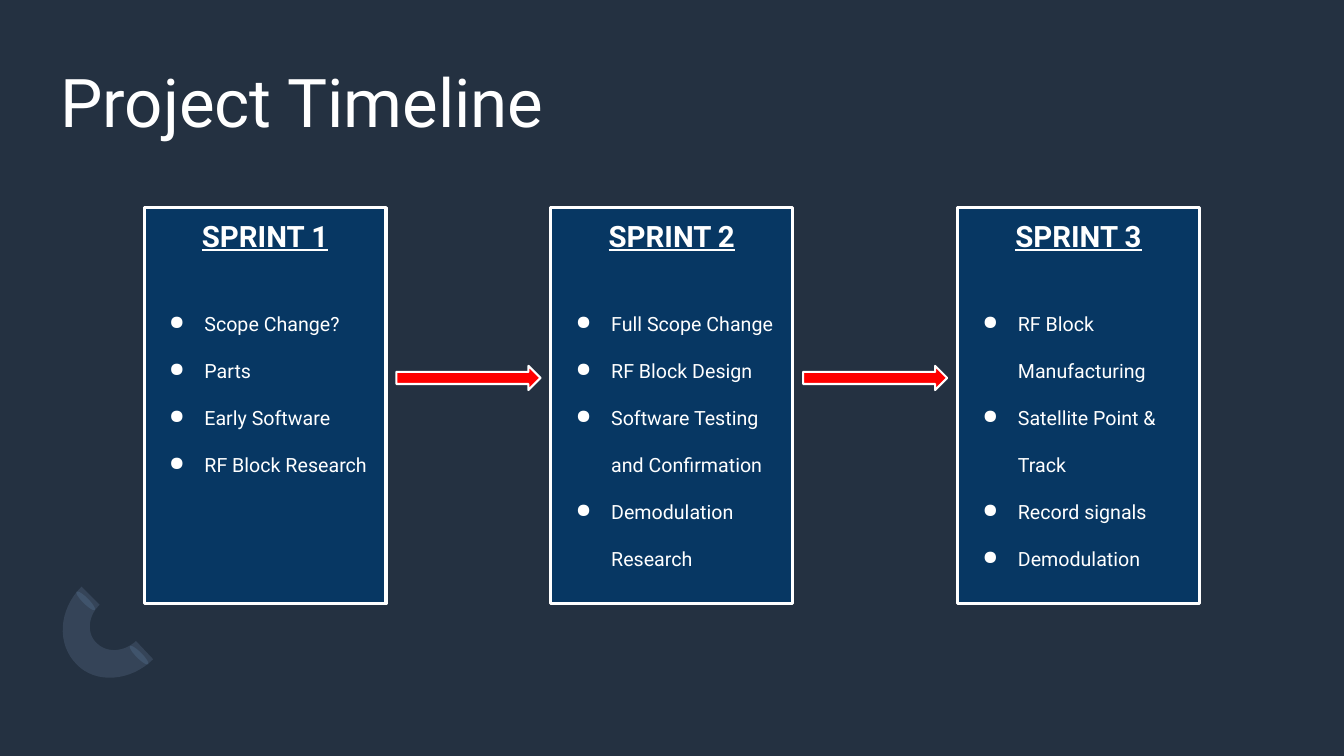
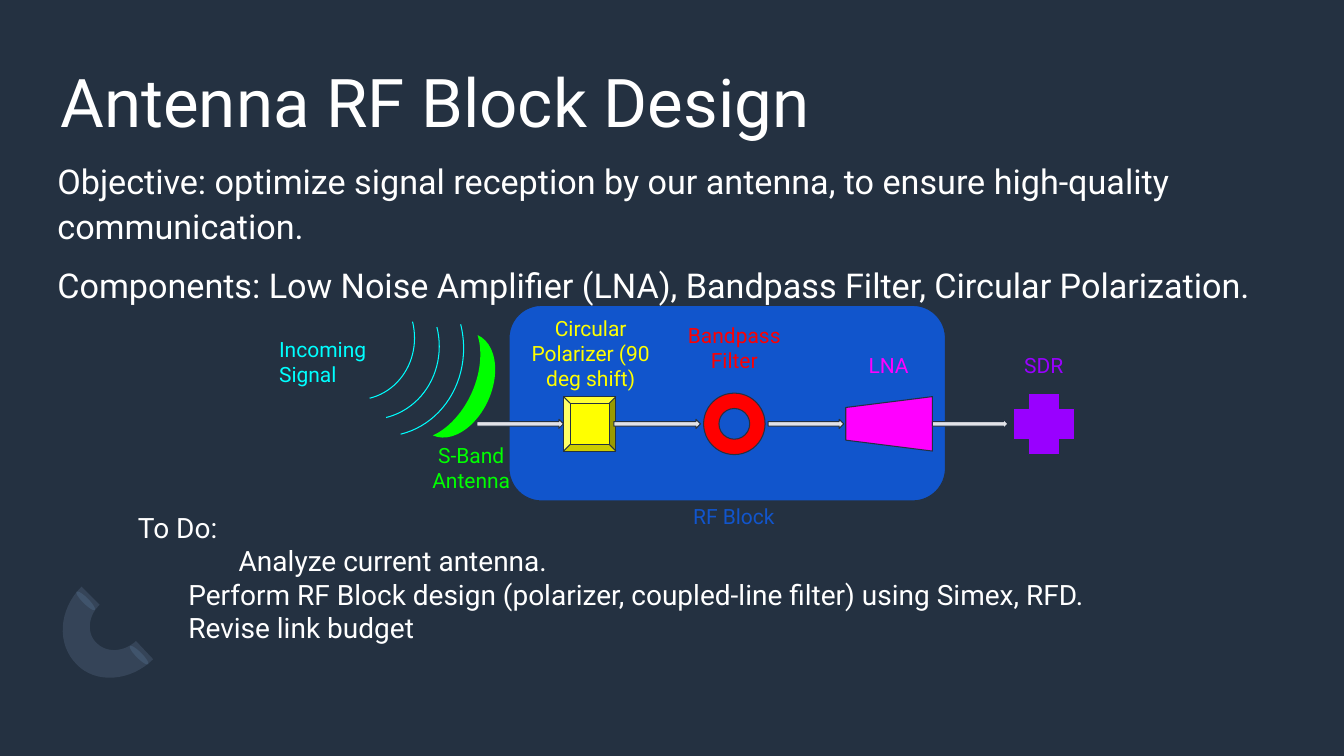
"""Build the project timeline and antenna RF block slides."""
from dataclasses import dataclass
from typing import Optional

from lxml import etree
from pptx import Presentation
from pptx import util as u
from pptx.dml.color import RGBColor
from pptx.enum import shapes, text
from pptx.oxml.ns import qn

CELL = u.Inches(0.1)
COLUMNS, ROWS = 133.33, 75
FONT = "Roboto"
PRESET = shapes.MSO_SHAPE
CENTRE, LEFT = text.PP_ALIGN.CENTER, text.PP_ALIGN.LEFT
COLOURS = {
    "night": "243141", "slate": "32445A", "mist": "7B94B5", "white": "FFFFFF",
    "navy": "073763", "red": "FF0000", "blue": "1155CC", "green": "00FF00",
    "yellow": "FFFF00", "magenta": "FF00FF", "cyan": "00FFFF",
    "violet": "9900FF", "silver": "E2E3E8",
}


@dataclass(frozen=True)
class Area:
    """A rectangle in grid cells."""
    left: float
    top: float
    width: float
    height: float

    def emu(self) -> tuple[int, ...]:
        """Return the rectangle in slide units."""
        return tuple(cells(v) for v in (self.left, self.top, self.width, self.height))


@dataclass(frozen=True)
class Passage:
    """A paragraph and its style, with indents in cells."""
    words: str
    size: float
    colour: str = "white"
    align: text.PP_ALIGN = LEFT
    heading: bool = False
    spacing: float = 1
    before: float = 0
    margin: float = 0
    hanging: float = 0


@dataclass(frozen=True)
class Sprint:
    """A sprint and its goals."""
    name: str
    goals: tuple[str, ...]


@dataclass(frozen=True)
class Symbol:
    """A preset shape placed by its centre."""
    preset: PRESET
    column: float
    row: float
    width: float
    height: float
    fill: Optional[str]
    line: Optional[str] = "night"
    weight: float = 0.75
    turn: float = 0

    def area(self) -> Area:
        """Return the area around the centre."""
        return Area(self.column - self.width / 2, self.row - self.height / 2,
                    self.width, self.height)


@dataclass(frozen=True)
class Label:
    """A caption of the signal chain."""
    words: str
    colour: str
    area: Area
    align: text.PP_ALIGN = CENTRE


SPRINTS = (
    Sprint("SPRINT 1", ("Scope Change?", "Parts", "Early Software", "RF Block Research")),
    Sprint("SPRINT 2", ("Full Scope Change", "RF Block Design",
                        "Software Testing and Confirmation", "Demodulation Research")),
    Sprint("SPRINT 3", ("RF Block Manufacturing", "Satellite Point & Track",
                        "Record signals", "Demodulation")),
)
SPRINT_LEFT, SPRINT_TOP, SPRINT_WIDTH, SPRINT_HEIGHT = 14.3, 20.6, 24, 39.3
SPRINT_STEP, ARROW_WIDTH, ARROW_ROW = 40.35, 14.3, 37.5

AXIS = 42.05
RF_BLOCK = Symbol(PRESET.ROUNDED_RECTANGLE, 72.15, 40, 43.3, 19.4, "blue")
CHAIN = (
    Symbol(PRESET.MOON, 46.8, 38.95, 3.6, 10.9, "green", None, turn=204),
    Symbol(PRESET.BEVEL, 58.5, AXIS, 5.2, 5.4, "yellow"),
    Symbol(PRESET.DONUT, 72.85, AXIS, 6.1, 6.1, "red"),
    Symbol(PRESET.FLOWCHART_MANUAL_OPERATION, 88.2, AXIS, 5.4, 8.6, "magenta", turn=90),
    Symbol(PRESET.CROSS, 103.55, AXIS, 6.1, 6.1, "violet"),
)
WAVES = tuple(
    Symbol(PRESET.ARC, column, row, width, height, None, "cyan", turn=76.1)
    for column, row, width, height in (
        (35.15, 33.35, 12.7, 11.9), (36.5, 34.15, 15, 14.1), (37.55, 34.2, 18.3, 16.8))
)
LINKS = tuple(
    Symbol(PRESET.RIGHT_ARROW, left + width / 2, AXIS, width, 0.9, "silver")
    for left, width in ((47.3, 8.6), (60.9, 8.6), (76.2, 7.5), (92.5, 7.5))
)
LABELS = (
    Label("S-Band Antenna", "green", Area(40.4, 42.9, 12.7, 2.2)),
    Label("Circular Polarizer (90 deg shift)", "yellow", Area(50.5, 30.3, 16.2, 2.2)),
    Label("Bandpass Filter", "red", Area(67.1, 31, 11.5, 5.4)),
    Label("LNA", "magenta", Area(84.4, 34, 7.5, 3.7)),
    Label("Incoming Signal", "cyan", Area(26.7, 32.4, 11.5, 3.3), LEFT),
    Label("RF Block", "blue", Area(60.4, 49, 24.8, 2.7)),
    Label("SDR", "violet", Area(100.5, 34, 6.1, 2.2)),
)

RING_START = (7.6, 65.9)
RING = (
    ((5.6, 63.9), (5.8, 60.5), (8.1, 58.2)), ((9.9, 60),),
    ((8.7, 61.1), (8.6, 62.9), (9.6, 63.8)),
    ((10.6, 64.8), (12.3, 64.7), (13.5, 63.6)), ((15.2, 65.4),),
    ((13, 67.6), (9.5, 67.9), (7.6, 65.9)),
)
RING_ENDS = ((13.8, 65), (8.5, 59.6))


def cells(count: float) -> int:
    """Convert grid cells to slide units."""
    return round(count * CELL)


def rgb(name: str) -> RGBColor:
    """Look a colour up by name."""
    return RGBColor.from_string(COLOURS[name])


def add_bullet(paragraph) -> None:
    """Give a paragraph a white round bullet."""
    properties = paragraph._p.get_or_add_pPr()
    colour = etree.SubElement(properties, qn("a:buClr"))
    etree.SubElement(colour, qn("a:srgbClr"), val=COLOURS["white"])
    etree.SubElement(properties, qn("a:buChar"), char="●")


def write(shape, passages: list[Passage], inset: float = 0) -> None:
    """Fill a shape with styled paragraphs from its top."""
    frame = shape.text_frame
    frame.word_wrap = True
    frame.vertical_anchor = text.MSO_ANCHOR.TOP
    frame.margin_left = frame.margin_right = cells(inset)
    frame.margin_top = frame.margin_bottom = cells(inset)
    for index, passage in enumerate(passages):
        paragraph = frame.add_paragraph() if index else frame.paragraphs[0]
        paragraph.text = passage.words
        paragraph.alignment = passage.align
        paragraph.line_spacing = passage.spacing
        if passage.before:
            paragraph.space_before = u.Pt(passage.before)
        properties = paragraph._p.get_or_add_pPr()
        properties.set("marL", str(cells(passage.margin)))
        properties.set("indent", str(cells(-passage.hanging)))
        if passage.hanging:
            add_bullet(paragraph)
        font = paragraph.font
        font.name, font.size = FONT, u.Pt(passage.size)
        font.bold = font.underline = passage.heading
        font.color.rgb = rgb(passage.colour)


def add_text(slide, area: Area, passages: list[Passage], inset: float = 0) -> None:
    """Add a text box."""
    write(slide.shapes.add_textbox(*area.emu()), passages, inset)


def paint(shape, fill: Optional[str], line: Optional[str], weight: float = 0.75) -> None:
    """Set fill and outline and drop the shadow."""
    shape.shadow.inherit = False
    if fill:
        shape.fill.solid()
        shape.fill.fore_color.rgb = rgb(fill)
    else:
        shape.fill.background()
    if line:
        shape.line.color.rgb = rgb(line)
        shape.line.width = u.Pt(weight)
    else:
        shape.line.fill.background()


def draw(slide, symbol: Symbol):
    """Draw a symbol and return its shape."""
    shape = slide.shapes.add_shape(symbol.preset, *symbol.area().emu())
    shape.rotation = symbol.turn
    paint(shape, symbol.fill, symbol.line, symbol.weight)
    return shape


def trace_ring(steps: int = 16) -> list[tuple[int, int]]:
    """Sample the curves and lines of the open ring."""
    points, start = [], RING_START
    for segment in RING:
        if len(segment) == 1:
            points.append(segment[0])
        else:
            controls = (start, *segment)
            for step in range(1, steps + 1):
                t = step / steps
                weights = ((1 - t) ** 3, 3 * t * (1 - t) ** 2, 3 * t * t * (1 - t), t ** 3)
                points.append(tuple(sum(w * c[axis] for w, c in zip(weights, controls))
                                    for axis in (0, 1)))
        start = segment[-1]
    return [(cells(x), cells(y)) for x, y in points]


def add_ring(slide) -> None:
    """Draw the translucent open ring in the corner."""
    for column, row in RING_ENDS:
        draw(slide, Symbol(PRESET.OVAL, column, row, 0.6, 2.6, "slate", None, turn=315))
    builder = slide.shapes.build_freeform(*(cells(v) for v in RING_START))
    builder.add_line_segments(trace_ring(), close=True)
    ring = builder.convert_to_shape()
    paint(ring, "mist", None)
    tint = ring._element.spPr.find(qn("a:solidFill"))[0]
    etree.SubElement(tint, qn("a:alpha"), val="20000")


def add_slide(deck, title: str):
    """Add a slide with the shared ring and title."""
    slide = deck.slides.add_slide(deck.slide_layouts[6])
    add_ring(slide)
    add_text(slide, Area(6, 6, 121.3, 8.9), [Passage(title, 48)])
    return slide


def add_timeline(deck) -> None:
    """Add the sprint timeline slide."""
    slide = add_slide(deck, "Project Timeline")
    middle = SPRINT_LEFT + SPRINT_WIDTH / 2
    for index, sprint in enumerate(SPRINTS):
        column = middle + index * SPRINT_STEP
        panel = draw(slide, Symbol(PRESET.RECTANGLE, column, SPRINT_TOP + SPRINT_HEIGHT / 2,
                                   SPRINT_WIDTH, SPRINT_HEIGHT, "navy", "white", 2.25))
        goals = [Passage(goal, 14, spacing=2, before=0 if place else 25.2,
                         margin=5, hanging=3.5)
                 for place, goal in enumerate(sprint.goals)]
        write(panel, [Passage(sprint.name, 21, align=CENTRE, heading=True), *goals], 1)
        if index:
            draw(slide, Symbol(PRESET.RIGHT_ARROW, column - SPRINT_STEP / 2, ARROW_ROW,
                               ARROW_WIDTH, 2.4, "red", "white", 1.5))


def add_rf_design(deck) -> None:
    """Add the antenna signal chain slide."""
    slide = add_slide(deck, "Antenna RF Block Design")
    draw(slide, RF_BLOCK)
    add_text(slide, Area(5.7, 15.5, 121.3, 10.3), [
        Passage("Objective: optimize signal reception by our antenna, to ensure "
                "high-quality communication.", 24.4, spacing=1.1),
        Passage("Components: Low Noise Amplifier (LNA), Bandpass Filter, "
                "Circular Polarization.", 24.4, spacing=1.1, before=10),
    ])
    for symbol in CHAIN + WAVES + LINKS:
        draw(slide, symbol)
    for label in LABELS:
        add_text(slide, label.area,
                 [Passage(label.words, 15, label.colour, label.align)], 1)
    add_text(slide, Area(12.7, 49.6, 114.6, 21.9), [
        Passage("To Do:", 20),
        Passage("Analyze current antenna.", 20, margin=10),
        Passage("Perform RF Block design (polarizer, coupled-line filter) "
                "using Simex, RFD.", 20, margin=5),
        Passage("Revise link budget", 20, margin=5),
    ], 1)


def main() -> None:
    """Build and save the deck."""
    deck = Presentation()
    deck.slide_width, deck.slide_height = cells(COLUMNS), cells(ROWS)
    backdrop = deck.slide_master.background.fill
    backdrop.solid()
    backdrop.fore_color.rgb = rgb("night")
    add_timeline(deck)
    add_rf_design(deck)
    deck.save("out.pptx")


if __name__ == "__main__":
    main()
